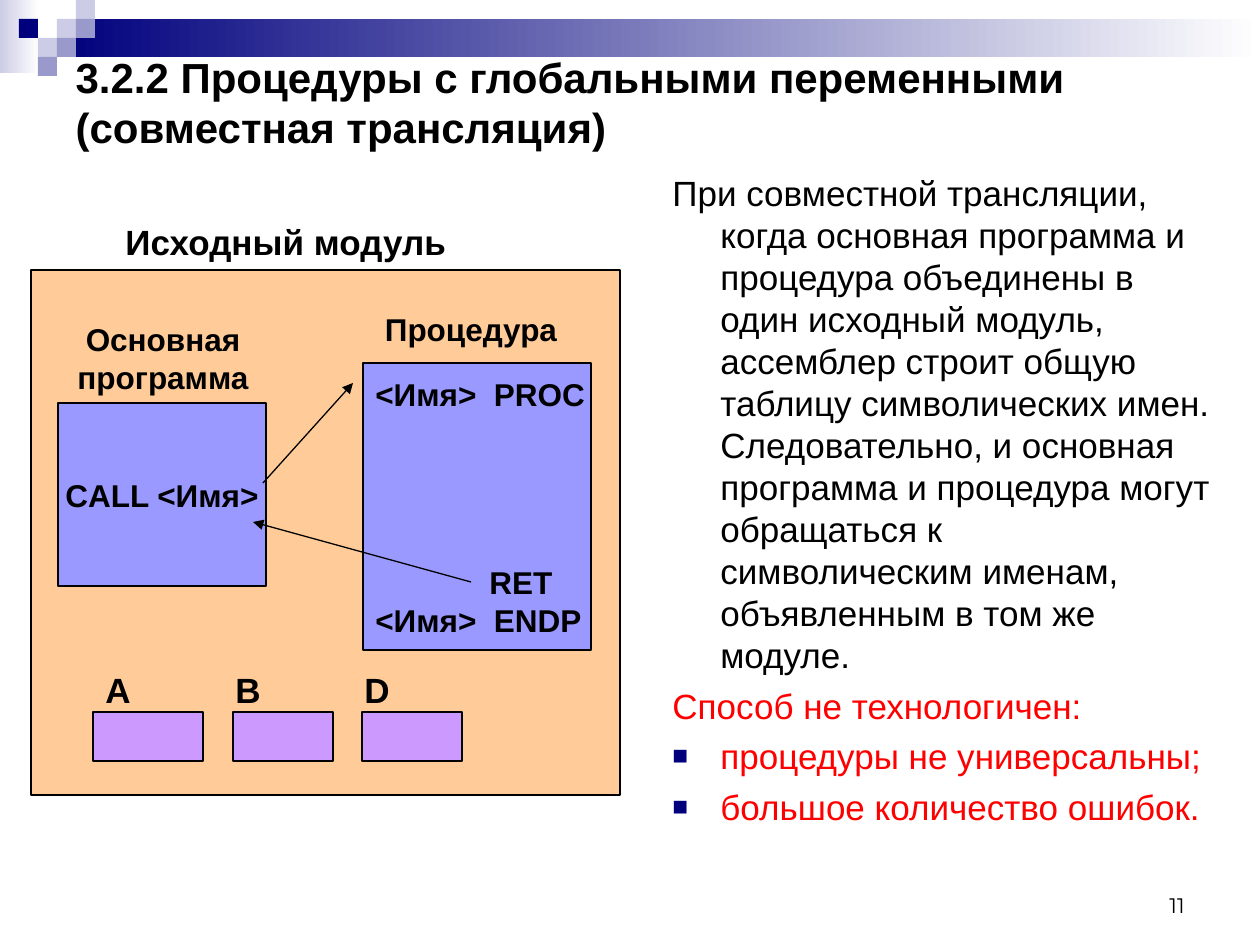
"""Build the slide on procedures with global variables."""
from lxml import etree
from pptx import Presentation
from pptx.dml.color import RGBColor
from pptx.enum.shapes import MSO_CONNECTOR, MSO_SHAPE
from pptx.enum.text import MSO_ANCHOR, PP_ALIGN
from pptx.oxml.ns import qn
from pptx.util import Pt

RECT, STRAIGHT = MSO_SHAPE.RECTANGLE, MSO_CONNECTOR.STRAIGHT
TOP, MIDDLE, BOTTOM = MSO_ANCHOR.TOP, MSO_ANCHOR.MIDDLE, MSO_ANCHOR.BOTTOM
LEFT, CENTER, RIGHT = PP_ALIGN.LEFT, PP_ALIGN.CENTER, PP_ALIGN.RIGHT
PX = 914400 / 126
COLORS = {
    "black": "000000", "white": "FFFFFF", "red": "FF0000", "navy": "00007D",
    "pale": "CCCCE6", "mid": "9999CC", "module": "FFCC99", "code": "9999FF",
    "data": "CC99FF",
}
RGB = {name: RGBColor.from_string(value) for name, value in COLORS.items()}


def add_rect(box, fill, end=None, outline=True):
    s = slide.shapes.add_shape(RECT, *[round(v * PX) for v in box])
    s.shadow.inherit = False
    if end:
        s.fill.gradient()
        s.fill.gradient_angle = 0
        for stop, name in zip(s.fill.gradient_stops, (fill, end)):
            stop.color.rgb = RGB[name]
    else:
        s.fill.solid()
        s.fill.fore_color.rgb = RGB[fill]
    if outline:
        s.line.color.rgb = RGB["black"]
        s.line.width = Pt(0.75)
    else:
        s.line.fill.background()
    return s


def write(p, text, size, bold=True, align=LEFT, color="black", font="Arial"):
    p.alignment = align
    p.line_spacing = Pt(size * 1.2)
    for i, line in enumerate(text.split("\n")):
        if i:
            p.add_line_break()
        r = p.add_run()
        r.text = line
        r.font.name = font
        r.font.size = Pt(size)
        r.font.bold = bold
        r.font.color.rgb = RGB[color]


prs = Presentation()
prs.slide_width, prs.slide_height = round(1260 * PX), round(945 * PX)
slide = prs.slides.add_slide(prs.slide_layouts[5])

add_rect((0, 0, 39, 73), "pale", "white", outline=False)
add_rect((57, 19, 1203, 38), "navy", "white", outline=False)
CELL = 19
for col, row, fill in [(3, 1, "pale"), (4, 0, "pale"), (4, 1, "mid"), (2, 2, "pale"),
                       (1, 1, "navy"), (3, 2, "mid"), (2, 3, "mid")]:
    add_rect((col * CELL, row * CELL, CELL, CELL), fill, outline=False)

title = slide.shapes.title
title.left, title.top, title.width, title.height = [round(v * PX) for v in (63, 66, 1197, 72)]
tf = title.text_frame
tf.word_wrap = True
tf.vertical_anchor = MIDDLE
write(tf.paragraphs[0], "3.2.2 Процедуры с глобальными переменными\n(совместная трансляция)", 24)

add_rect((31, 270, 589, 525), "module")

main = add_rect((58, 403, 208, 183), "code")
tf = main.text_frame
tf.word_wrap = False
tf.vertical_anchor = MIDDLE
write(tf.paragraphs[0], "CALL <Имя>", 18, align=CENTER)

procedure = add_rect((363, 363, 228, 287), "code")
tf = procedure.text_frame
tf.word_wrap = False
tf.vertical_anchor = MIDDLE
for i, line in enumerate(["<Имя>  PROC", "RET", "<Имя>  ENDP"]):
    p = tf.paragraphs[0] if i == 0 else tf.add_paragraph()
    write(p, line, 18)
    if line == "RET":
        p.space_before = Pt(86)
        p._p.get_or_add_pPr().set("marL", str(round(114 * PX)))

for x1, y1, x2, y2 in [(263, 483, 353, 383), (471, 582, 253, 522)]:
    c = slide.shapes.add_connector(STRAIGHT, *[round(v * PX) for v in (x1, y1, x2, y2)])
    c.line.color.rgb = RGB["black"]
    c.line.width = Pt(0.75)
    etree.SubElement(c.line._get_or_add_ln(), qn("a:tailEnd"), type="triangle")
    etree.SubElement(c._element.spPr, qn("a:effectLst"))

for x, width in [(93, 110), (233, 100), (362, 100)]:
    add_rect((x, 712, width, 49), "data")

labels = [
    ("Исходный модуль", (113, 214, 412, 55), 20, LEFT),
    ("Основная программа", (54, 314, 218, 88), 18, CENTER),
    ("Процедура", (362, 304, 218, 50), 18, CENTER),
    ("A", (93, 662, 69, 55), 20, LEFT),
    ("B", (223, 662, 69, 55), 20, LEFT),
    ("D", (352, 662, 69, 55), 20, LEFT),
]
for text, box, size, align in labels:
    tf = slide.shapes.add_textbox(*[round(v * PX) for v in box]).text_frame
    tf.word_wrap = True
    write(tf.paragraphs[0], text, size, align=align)

notes = [
    ("При совместной трансляции, когда основная программа и процедура объединены в один "
     "исходный модуль, ассемблер строит общую таблицу символических имен. Следовательно, "
     "и основная программа и процедура могут обращаться к  символическим именам, "
     "объявленным в том же модуле.", "black", False),
    ("Способ не технологичен:", "red", False),
    ("процедуры не универсальны;", "red", True),
    ("большое количество ошибок.", "red", True),
]
tf = slide.shapes.add_textbox(*[round(v * PX) for v in (660, 165, 566, 780)]).text_frame
tf.word_wrap = True
tf.vertical_anchor = TOP
for i, (text, color, bullet) in enumerate(notes):
    p = tf.paragraphs[0] if i == 0 else tf.add_paragraph()
    write(p, text, 20, bold=False, color=color)
    if i:
        p.space_before = Pt(5)
    pPr = p._p.get_or_add_pPr()
    pPr.set("marL", str(round(48 * PX)))
    pPr.set("indent", str(round(-48 * PX)))
    if bullet:
        clr = etree.SubElement(pPr, qn("a:buClr"))
        etree.SubElement(clr, qn("a:srgbClr"), val=COLORS["navy"])
        etree.SubElement(pPr, qn("a:buSzPct"), val="75000")
        etree.SubElement(pPr, qn("a:buFont"), typeface="Arial")
        etree.SubElement(pPr, qn("a:buChar"), char="■")

tf = slide.shapes.add_textbox(*[round(v * PX) for v in (903, 861, 294, 63)]).text_frame
tf.word_wrap = True
tf.vertical_anchor = BOTTOM
write(tf.paragraphs[0], "11", 12, bold=False, align=RIGHT, font="Montserrat")

prs.save("out.pptx")
